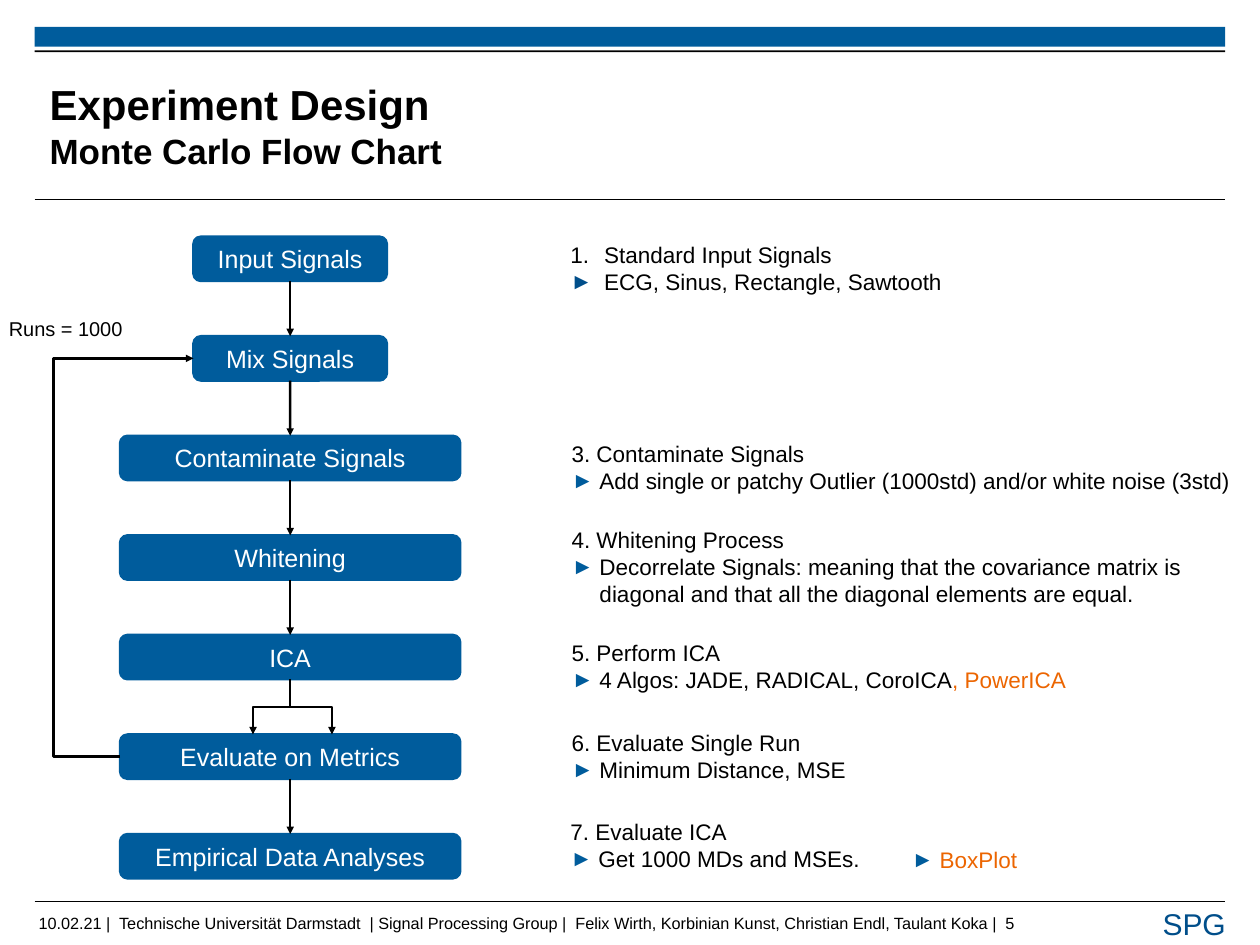
from itertools import pairwise
from lxml import etree
from pptx import Presentation
from pptx.dml.color import RGBColor
from pptx.enum import shapes, text
from pptx.oxml.ns import qn
from pptx.util import Cm, Pt

COLORS = {"blue": "005C9C", "navy": "004E8A", "orange": "EC6500",
          "black": "000000", "white": "FFFFFF"}
FONT = "Arial"

TITLE = [("Experiment Design", 33.6), ("Monte Carlo Flow Chart", 28)]
FOOTER = ("10.02.21 |  Technische Universität Darmstadt  | Signal Processing Group |  "
          "Felix Wirth, Korbinian Kunst, Christian Endl, Taulant Koka |  5")

NARROW, WIDE = 5.46, 9.6
STEPS = [("Input Signals", NARROW), ("Mix Signals", NARROW),
         ("Contaminate Signals", WIDE), ("Whitening", WIDE), ("ICA", WIDE),
         ("Evaluate on Metrics", WIDE), ("Empirical Data Analyses", WIDE)]
MIX, ICA, EVALUATE = 1, 4, 5
STEP_CENTER, STEP_TOP, STEP_PITCH, STEP_HEIGHT = 8.19, 6.68, 2.81, 1.25
FORK_ENDS = (7.14, 9.37)

# Notes: left, top, width, height, heading, bullet runs as (text, color)
NOTES = [
    (15.88, 12.29, 19.23, 1.8, "3. Contaminate Signals",
     [("Add single or patchy Outlier (1000std) and/or white noise (3std)", "black")]),
    (15.88, 14.73, 18.75, 2.57, "4. Whitening Process",
     [("Decorrelate Signals: meaning that the covariance matrix is "
       "diagonal and that all the diagonal elements are equal.", "black")]),
    (15.88, 17.91, 18.75, 1.8, "5. Perform ICA",
     [("4 Algos: JADE, RADICAL, CoroICA", "black"), (", PowerICA", "orange")]),
    (15.88, 20.45, 18.75, 1.8, "6. Evaluate Single Run",
     [("Minimum Distance, MSE", "black")]),
    (15.85, 22.96, 9.14, 1.8, "7. Evaluate ICA",
     [("Get 1000 MDs and MSEs.", "black")]),
    (25.48, 23.75, 9.14, 1.02, None, [("BoxPlot", "orange")]),
]

prs = Presentation()
prs.slide_width, prs.slide_height = Cm(35.56), Cm(26.67)
slide = prs.slides.add_slide(prs.slide_layouts[5])


def rgb(name):
    return RGBColor.from_string(COLORS[name])


def style(run, size, color="black", bold=False):
    run.font.name, run.font.size, run.font.bold = FONT, Pt(size), bold
    run.font.color.rgb = rgb(color)


def add_block(kind, left, top, width, height, color):
    block = slide.shapes.add_shape(kind, Cm(left), Cm(top), Cm(width), Cm(height))
    block.shadow.inherit = False
    block.fill.solid()
    block.fill.fore_color.rgb = rgb(color)
    block.line.fill.background()
    return block


def add_frame(left, top, width, height, wrap=True):
    frame = slide.shapes.add_textbox(Cm(left), Cm(top), Cm(width), Cm(height)).text_frame
    frame.word_wrap = wrap
    return frame


def add_label(content, size, color, *place):
    frame = add_frame(*place, wrap=False)
    frame.text = content
    style(frame.paragraphs[0].runs[0], size, color)
    return frame


def add_runs(paragraph, runs):
    for content, color in runs:
        run = paragraph.add_run()
        run.text = content
        style(run, 18, color)


def add_bullet(paragraph, indent, color=None):
    """Mark with a colored arrow, or with a number when no color is given."""
    props = paragraph._p.get_or_add_pPr()
    props.set("marL", str(Cm(indent)))
    props.set("indent", str(-Cm(indent)))
    if color:
        tint = etree.SubElement(props, qn("a:buClr"))
        etree.SubElement(tint, qn("a:srgbClr"), val=COLORS[color])
        etree.SubElement(props, qn("a:buFont"), typeface=FONT)
        etree.SubElement(props, qn("a:buChar"), char="►")
    else:
        etree.SubElement(props, qn("a:buFont"), typeface="+mj-lt")
        etree.SubElement(props, qn("a:buAutoNum"), type="arabicPeriod")


def add_line(kind, x1, y1, x2, y2, width=2, arrow=True):
    line = slide.shapes.add_connector(kind, Cm(x1), Cm(y1), Cm(x2), Cm(y2))
    line.line.color.rgb = rgb("black")
    line.line.width = Pt(width)
    if arrow:
        etree.SubElement(line.line._get_or_add_ln(), qn("a:tailEnd"), type="triangle")
    etree.SubElement(line._element.spPr, qn("a:effectLst"))
    return line


STRAIGHT, ELBOW = shapes.MSO_CONNECTOR.STRAIGHT, shapes.MSO_CONNECTOR.ELBOW

# Page frame
for rule_y in (5.64, 25.43):
    add_line(STRAIGHT, 0.98, rule_y, 34.58, rule_y, width=0.6, arrow=False)
for bar_top, bar_height, bar_color in ((0.76, 0.56, "blue"), (1.42, 0.05, "black")):
    add_block(shapes.MSO_SHAPE.RECTANGLE, 0.98, bar_top, 33.6, bar_height, bar_color)
footer = add_label(FOOTER, 13, "black", 1.09, 25.78, 28.45, 0.56)
footer.margin_left = footer.margin_right = footer.margin_top = footer.margin_bottom = 0
add_label("SPG", 24, "navy", 32.56, 25.43, 2.36, 1.27)

# Title
title = slide.shapes.title
title.left, title.top, title.width, title.height = Cm(1.4), Cm(1.9), Cm(26.75), Cm(3.25)
heading = title.text_frame
heading.margin_left = heading.margin_right = heading.margin_top = heading.margin_bottom = 0
heading.vertical_anchor = text.MSO_ANCHOR.MIDDLE
heading.auto_size = text.MSO_AUTO_SIZE.NONE
heading.paragraphs[0].text = "\v".join(content for content, _ in TITLE)
heading.paragraphs[0].alignment = text.PP_ALIGN.LEFT
for run, (_, size) in zip(heading.paragraphs[0].runs, TITLE):
    style(run, size, bold=True)

# Flow chart steps
steps = []
for i, (content, width) in enumerate(STEPS):
    step = add_block(shapes.MSO_SHAPE.ROUNDED_RECTANGLE, STEP_CENTER - width / 2,
                     STEP_TOP + i * STEP_PITCH, width, STEP_HEIGHT, "blue")
    step.line.color.rgb = rgb("blue")
    step.line.width = Pt(2)
    step.text_frame.text = content
    step.text_frame.vertical_anchor = text.MSO_ANCHOR.MIDDLE
    step.text_frame.paragraphs[0].alignment = text.PP_ALIGN.CENTER
    style(step.text_frame.paragraphs[0].runs[0], 20, "white")
    steps.append(step)

# Straight arrows between steps
for i, (upper, lower) in enumerate(pairwise(steps)):
    if i != ICA:
        arrow = add_line(STRAIGHT, 0, 0, 1, 1)
        arrow.begin_connect(upper, 2)
        arrow.end_connect(lower, 0)

# Fork from ICA: elbows turned a quarter so that they start downwards
fork_top = STEP_TOP + ICA * STEP_PITCH + STEP_HEIGHT
drop = STEP_PITCH - STEP_HEIGHT
for fork_x in FORK_ENDS:
    shift = fork_x - STEP_CENTER
    mid_x, mid_y = STEP_CENTER + shift / 2, fork_top + drop / 2
    fork = add_line(ELBOW, mid_x - drop / 2, mid_y + shift / 2,
                    mid_x + drop / 2, mid_y - shift / 2)
    fork._element.spPr.find(qn("a:xfrm")).set("rot", "5400000")

# Loop back from the metrics to the mixing
loop = add_line(ELBOW, 0, 1, 1, 0)
loop.begin_connect(steps[EVALUATE], 1)
loop.end_connect(steps[MIX], 1)
bend = loop._element.spPr.find(qn("a:prstGeom")).find(qn("a:avLst"))
etree.SubElement(bend, qn("a:gd"), name="adj1", fmla="val -90500")
add_label("Runs = 1000", 16, "black", 0, 8.81, 3.76, 0.94)

# Notes beside the steps
inputs = add_frame(15.85, 6.68, 11.1, 1.8)
add_bullet(inputs.paragraphs[0], 0.95)
add_runs(inputs.paragraphs[0], [("Standard Input Signals", "black")])
signals = inputs.add_paragraph()
add_bullet(signals, 0.95, "navy")
add_runs(signals, [("ECG, Sinus, Rectangle, Sawtooth", "black")])

for *place, heading_text, details in NOTES:
    note = add_frame(*place)
    paragraph = note.paragraphs[0]
    if heading_text:
        add_runs(paragraph, [(heading_text, "black")])
        paragraph = note.add_paragraph()
    add_bullet(paragraph, 0.79, "blue")
    add_runs(paragraph, details)

prs.save("out.pptx")
